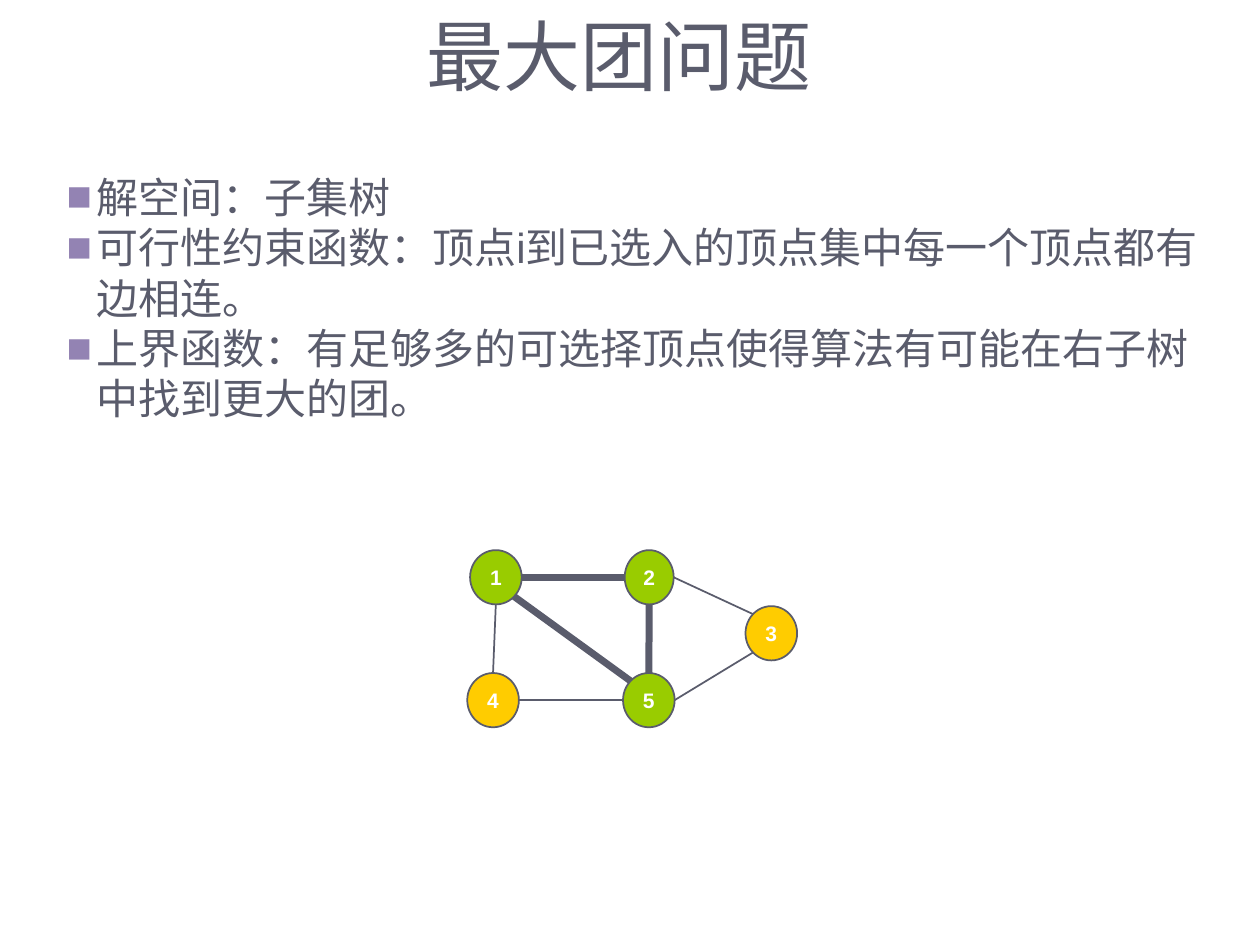
from dataclasses import dataclass
from math import cos, radians, sin

from lxml.etree import SubElement
from pptx import Presentation
from pptx.dml.color import RGBColor
from pptx.enum.shapes import MSO_CONNECTOR, MSO_SHAPE
from pptx.enum.text import MSO_ANCHOR, MSO_AUTO_SIZE, PP_ALIGN
from pptx.oxml.ns import qn
from pptx.util import Pt

COLORS = {
    "ink": "5A5C6C",
    "bullet": "9383B3",
    "clique": "99CC00",
    "other": "FFCC00",
    "label": "FFFFFF",
}
BULLET_INDENT = 17
NODE_HEIGHT = 31
THIN, THICK = 1, 4
# Angles run clockwise from the right, as y grows downwards.
ANGLES = {
    "right": 0, "bottom right": 45, "bottom": 90, "bottom left": 135,
    "left": 180, "top left": 225, "top": 270, "top right": 315,
}


@dataclass(frozen=True)
class Node:
    label: str
    left: float
    top: float
    color: str
    width: float = 29.5

    def site(self, side: str) -> tuple[float, float]:
        """Point on the outline at the named side."""
        angle = radians(ANGLES[side])
        return (self.left + self.width / 2 * (1 + cos(angle)),
                self.top + NODE_HEIGHT / 2 * (1 + sin(angle)))


@dataclass(frozen=True)
class Edge:
    start: str
    start_side: str
    end: str
    end_side: str
    weight: float = THIN


POINTS = [
    "解空间：子集树",
    "可行性约束函数：顶点i到已选入的顶点集中每一个顶点都有边相连。",
    "上界函数：有足够多的可选择顶点使得算法有可能在右子树中找到更大的团。",
]
NODES = [
    Node("1", 268.6, 314.4, "clique"),
    Node("2", 357, 314.4, "clique", 28),
    Node("4", 267, 384.6, "other"),
    Node("5", 356, 384.6, "clique"),
    Node("3", 426, 346.4, "other"),
]
EDGES = [
    Edge("1", "right", "2", "left", THICK),
    Edge("1", "bottom", "4", "top"),
    Edge("4", "right", "5", "left"),
    Edge("5", "top", "2", "bottom", THICK),
    Edge("1", "bottom right", "5", "top left", THICK),
    Edge("3", "top left", "2", "right"),
    Edge("5", "right", "3", "bottom left"),
]


def rgb(name: str) -> RGBColor:
    return RGBColor.from_string(COLORS[name])


def style_font(paragraph, name: str, size: float, color: str, bold: bool = False) -> None:
    paragraph.font.name = name
    paragraph.font.size = Pt(size)
    paragraph.font.bold = bold
    paragraph.font.color.rgb = rgb(color)


def add_title(slide, text: str) -> None:
    title = slide.shapes.title
    title.left, title.top, title.width, title.height = Pt(48), Pt(0), Pt(612), Pt(63)
    frame = title.text_frame
    frame.text = text
    frame.auto_size = MSO_AUTO_SIZE.NONE
    frame.vertical_anchor = MSO_ANCHOR.MIDDLE
    paragraph = frame.paragraphs[0]
    paragraph.alignment = PP_ALIGN.CENTER
    style_font(paragraph, "Cabin", 44, "ink")


def add_bullet(paragraph) -> None:
    properties = paragraph._p.get_or_add_pPr()
    properties.set("marL", str(Pt(BULLET_INDENT)))
    properties.set("indent", str(-Pt(BULLET_INDENT)))
    color = SubElement(properties, qn("a:buClr"))
    SubElement(color, qn("a:srgbClr"), val=COLORS["bullet"])
    SubElement(properties, qn("a:buFont"), typeface="Arial")
    SubElement(properties, qn("a:buChar"), char="■")


def add_points(slide, points: list[str]) -> None:
    box = slide.shapes.add_textbox(Pt(31), Pt(94.3), Pt(669), Pt(151))
    frame = box.text_frame
    frame.word_wrap = True
    frame.text = "\n".join(points)
    for paragraph in frame.paragraphs:
        add_bullet(paragraph)
        style_font(paragraph, "Arial", 24, "ink")


def add_node(slide, node: Node) -> None:
    shape = slide.shapes.add_shape(
        MSO_SHAPE.OVAL, Pt(node.left), Pt(node.top), Pt(node.width), Pt(NODE_HEIGHT))
    shape.shadow.inherit = False
    shape.fill.solid()
    shape.fill.fore_color.rgb = rgb(node.color)
    shape.line.color.rgb = rgb("ink")
    shape.line.width = Pt(THIN)
    frame = shape.text_frame
    frame.text = node.label
    frame.word_wrap = False
    frame.vertical_anchor = MSO_ANCHOR.MIDDLE
    paragraph = frame.paragraphs[0]
    paragraph.alignment = PP_ALIGN.CENTER
    style_font(paragraph, "Arial", 12, "label", bold=True)


def add_edge(slide, edge: Edge, nodes: dict[str, Node]) -> None:
    start = nodes[edge.start].site(edge.start_side)
    end = nodes[edge.end].site(edge.end_side)
    connector = slide.shapes.add_connector(
        MSO_CONNECTOR.STRAIGHT, *(Pt(value) for value in start + end))
    connector.line.color.rgb = rgb("ink")
    connector.line.width = Pt(edge.weight)
    SubElement(connector._element.spPr, qn("a:effectLst"))


def main() -> None:
    presentation = Presentation()
    presentation.slide_width, presentation.slide_height = Pt(720), Pt(540)
    slide = presentation.slides.add_slide(presentation.slide_layouts[5])
    add_title(slide, "最大团问题")
    add_points(slide, POINTS)
    for node in NODES:
        add_node(slide, node)
    nodes = {node.label: node for node in NODES}
    for edge in EDGES:
        add_edge(slide, edge, nodes)
    presentation.save("out.pptx")


if __name__ == "__main__":
    main()
